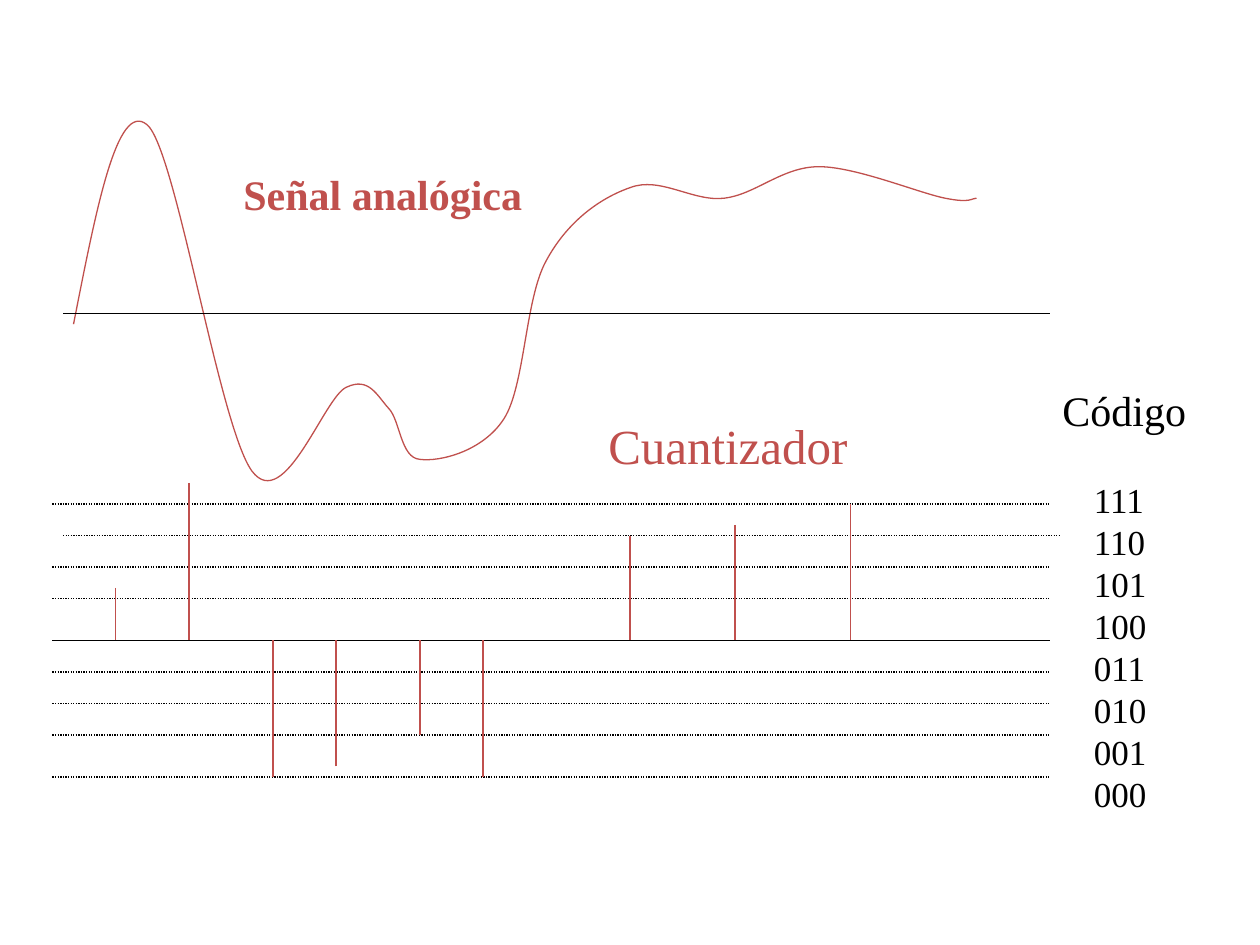
from lxml import etree
from pptx import Presentation
from pptx import util as u
from pptx.dml.color import RGBColor
from pptx.enum import dml, shapes, text
from pptx.oxml import ns

PX = 9525  # EMU per px, 96 px to the inch
BLACK, RED = "000000", "C0504D"
LEFT, RIGHT, ZERO = 40, 800, 488
LEVELS = [384, 432, 456, 512, 536, 560, 592]
SAMPLES = [(88, 448), (144, 368), (208, 592), (256, 584), (320, 560),
           (368, 592), (480, 408), (560, 400), (648, 384)]
# Start point, then two control points and an end point per curve
SIGNAL = [(56, 247),
          (73, 161), (89, 76), (112, 95),
          (134, 113), (167, 325), (192, 359),
          (217, 392), (247, 302), (264, 295),
          (281, 287), (287, 301), (296, 311),
          (305, 320), (305, 349), (320, 350),
          (335, 352), (368, 344), (384, 319),
          (400, 294), (400, 228), (416, 199),
          (432, 169), (457, 151), (480, 143),
          (503, 134), (528, 154), (552, 151),
          (576, 148), (596, 127), (624, 127),
          (652, 127), (700, 147), (720, 151),
          (740, 155), (740, 151), (744, 151)]


def px(n):
    return u.Emu(n * PX)


def rgb(color):
    return RGBColor.from_string(color)


def style_line(shape, color):
    shape.line.color.rgb = rgb(color)
    shape.line.width = u.Pt(0.75)


def add_line(s, x1, y1, x2, y2, color=BLACK, dotted=False):
    line = s.shapes.add_connector(shapes.MSO_CONNECTOR.STRAIGHT,
                                  px(x1), px(y1), px(x2), px(y2))
    style_line(line, color)
    if dotted:
        line.line.dash_style = dml.MSO_LINE.ROUND_DOT
    etree.SubElement(line._element.spPr, ns.qn("a:effectLst"))


def add_text(s, words, x, y, w, h, size=20, color=BLACK, bold=False):
    box = s.shapes.add_textbox(px(x), px(y), px(w), px(h))
    tf = box.text_frame
    tf.word_wrap = True
    tf.margin_right = 0  # leaves room to keep each label on one line
    tf.auto_size = text.MSO_AUTO_SIZE.NONE
    r = tf.paragraphs[0].add_run()
    r.text = words
    r.font.name = "Times New Roman"
    r.font.size = u.Pt(size)
    r.font.bold = bold
    r.font.color.rgb = rgb(color)


def add_curve(s, points, color):
    """Draw an open chain of cubic Bézier curves."""
    builder = s.shapes.build_freeform(*points[0], scale=PX)
    builder.add_line_segments(points[1:], close=False)
    curve = builder.convert_to_shape()
    curve.shadow.inherit = False
    curve.fill.background()
    style_line(curve, color)
    segments = list(curve._element.iter(ns.qn("a:lnTo")))
    for i in range(0, len(segments), 3):
        bezier = etree.Element(ns.qn("a:cubicBezTo"))
        segments[i].addprevious(bezier)
        for segment in segments[i:i + 3]:
            bezier.append(segment[0])
            segment.getparent().remove(segment)


def add_codes(s):
    add_text(s, "Código", 800, 288, 113, 48, size=24)
    for i in range(8):
        add_text(s, format(7 - i, "03b"), 824, 360 + 32 * i, 60, 41)


def add_quantizer(s):
    add_line(s, LEFT, ZERO, RIGHT, ZERO)
    for y in LEVELS:
        add_line(s, LEFT, y, RIGHT, y, dotted=True)
    add_line(s, LEFT + 8, 408, RIGHT + 8, 408, dotted=True)
    for x, y in SAMPLES:
        add_line(s, x, y, x, ZERO, color=RED)
    add_text(s, "Cuantizador", 454, 312, 202, 54, size=28, color=RED)


def add_signal(s):
    add_curve(s, SIGNAL, RED)
    add_line(s, 48, 239, RIGHT, 239)
    add_text(s, "Señal analógica", 176, 124, 231, 48, size=24, color=RED, bold=True)


def main():
    prs = Presentation()
    prs.slide_width, prs.slide_height = px(960), px(720)
    s = prs.slides.add_slide(prs.slide_layouts[6])
    add_codes(s)
    add_quantizer(s)
    add_signal(s)
    prs.save("out.pptx")


if __name__ == "__main__":
    main()
